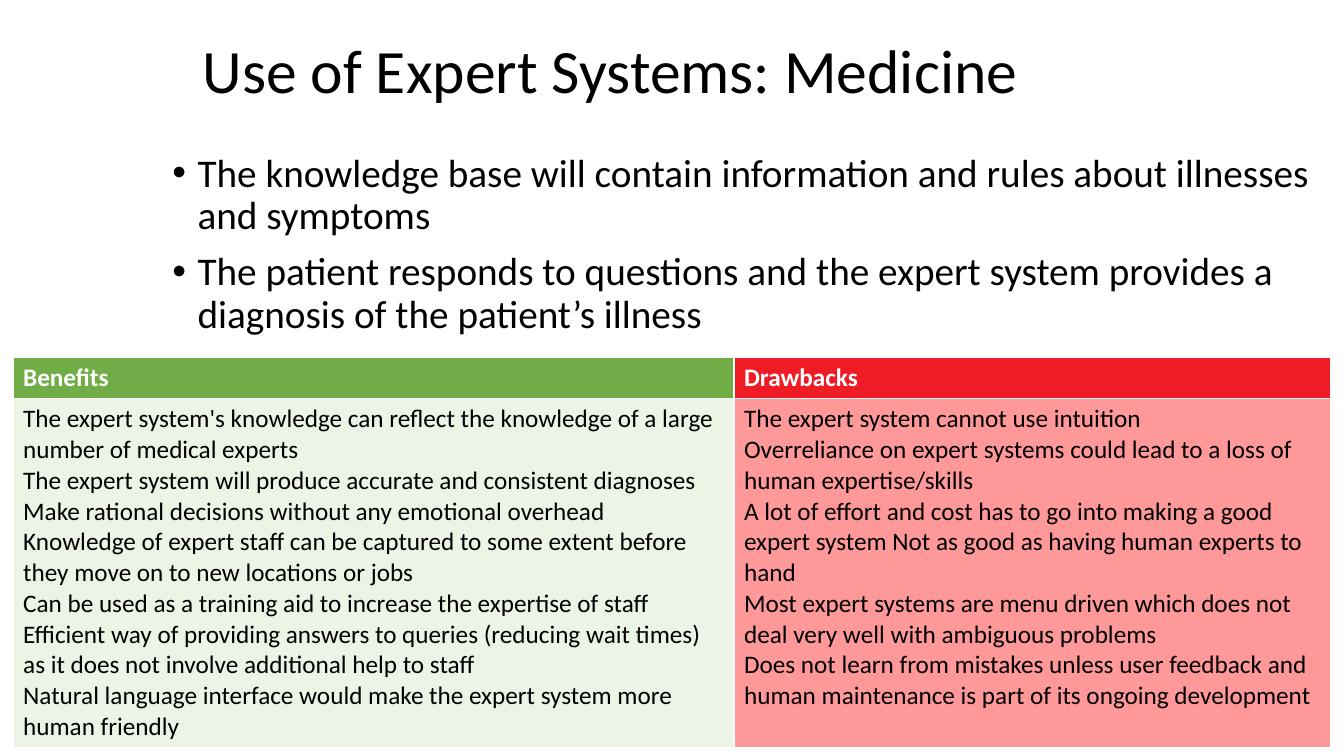
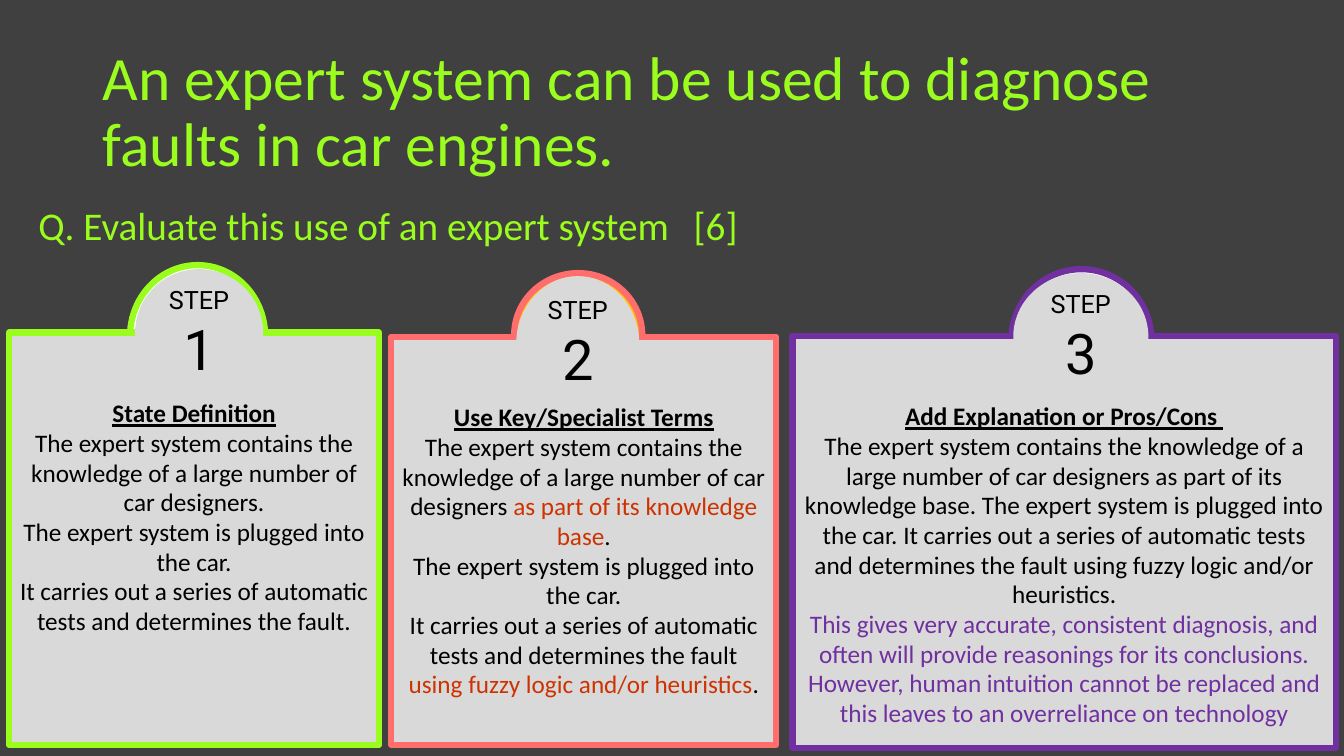
from lxml import etree
from pptx import Presentation
from pptx.dml.color import RGBColor
from pptx.enum.shapes import MSO_SHAPE
from pptx.enum.text import MSO_ANCHOR, MSO_AUTO_SIZE, PP_ALIGN
from pptx.oxml.ns import qn
from pptx.util import Inches, Pt

LEFT, CENTER = PP_ALIGN.LEFT, PP_ALIGN.CENTER
TOP, MIDDLE = MSO_ANCHOR.TOP, MSO_ANCHOR.MIDDLE
NO_FIT = MSO_AUTO_SIZE.NONE
RECTANGLE, OVAL = MSO_SHAPE.RECTANGLE, MSO_SHAPE.OVAL

BLACK, WHITE, CHARCOAL, CARD_GREY = "000000", "FFFFFF", "404040", "D9D9D9"
LIME, CORAL, PURPLE, RUST = "9AFD1D", "FF6D6D", "7030A0", "CC3300"
TITLE_AND_BODY = 1

BENEFITS = [
    "The expert system's knowledge can reflect the knowledge of a large number of medical experts",
    "The expert system will produce accurate and consistent diagnoses "
    "Make rational decisions without any emotional overhead",
    "Knowledge of expert staff can be captured to some extent before they move on to new locations or jobs",
    "Can be used as a training aid to increase the expertise of staff",
    "Efficient way of providing answers to queries (reducing wait times) "
    "as it does not involve additional help to staff",
    "Natural language interface would make the expert system more human friendly",
]
DRAWBACKS = [
    "The expert system cannot use intuition",
    "Overreliance on expert systems could lead to a loss of human expertise/skills",
    "A lot of effort and cost has to go into making a good expert system "
    "Not as good as having human experts to hand",
    "Most expert systems are menu driven which does not deal very well with ambiguous problems",
    "Does not learn from mistakes unless user feedback and human maintenance "
    "is part of its ongoing development",
]
COLUMNS = [
    dict(heading="Benefits", points=BENEFITS, width=7.15, head_fill="70AD47", fill="E4F0DC"),
    dict(heading="Drawbacks", points=DRAWBACKS, width=5.92, head_fill="EF1C26", fill=CORAL),
]

KNOWLEDGE = "The expert system contains the knowledge of a large number of car designers"
PLUGGED = "The expert system is plugged into the car."
TESTS = "It carries out a series of automatic tests and determines the fault"
STEPS = [
    dict(box=(0.09, 3.3, 3.67, 4.09), ring=(1.2, -0.67, 1.34, 1.41),
         badge=(1.25, -0.63, 1.27, 1.26), accent=LIME, ring_fill=WHITE,
         heading="State Definition",
         answer=[KNOWLEDGE + ".", PLUGGED, TESTS + "."]),
    dict(box=(3.88, 3.34, 3.82, 4.05), ring=(1.22, -0.63, 1.27, 1.23),
         badge=(1.24, -0.6, 1.22, 1.33), accent=CORAL, ring_fill="FFC000",
         heading="Use Key/Specialist Terms",
         answer=[[KNOWLEDGE + " ", ("as part of its knowledge base", dict(color=RUST)), "."],
                 PLUGGED,
                 [TESTS + " ", ("using fuzzy logic and/or heuristics", dict(color=RUST)), "."]]),
    dict(box=(7.86, 3.33, 5.39, 4.09), ring=(2.17, -0.66, 1.39, 1.41),
         badge=(2.19, -0.62, 1.34, 1.26), accent=PURPLE, ring_fill=WHITE,
         heading="Add Explanation or Pros/Cons ",
         answer=[f"{KNOWLEDGE} as part of its knowledge base. {PLUGGED} "
                 f"{TESTS} using fuzzy logic and/or heuristics.",
                 [("This gives very accurate, consistent diagnosis, and often will provide "
                   "reasonings for its conclusions. However, human intuition cannot be replaced "
                   "and this leaves to an overreliance on technology", dict(color=PURPLE))]]),
]


def paint(fill, color, alpha=None):
    """Fill solidly with a hex colour, optionally with an opacity in percent."""
    fill.solid()
    fill.fore_color.rgb = RGBColor.from_string(color)
    if alpha is not None:
        srgb = fill._xPr.find(".//" + qn("a:srgbClr"))
        etree.SubElement(srgb, qn("a:alpha")).set("val", str(alpha * 1000))


def format_run(run, size=18, font="Calibri", color=BLACK, bold=False, underline=False):
    """Set the character format of a run."""
    run.font.size, run.font.name = Pt(size), font
    run.font.bold, run.font.underline = bold, underline
    run.font.color.rgb = RGBColor.from_string(color)


def set_list_style(paragraph, bullet, tab):
    """Give a paragraph a hanging bullet, or none with an optional tab stop."""
    props = paragraph._p.get_or_add_pPr()
    indent = Inches(0.25) if bullet else 0
    props.set("marL", str(indent))
    props.set("indent", str(-indent))
    if bullet:
        etree.SubElement(props, qn("a:buChar")).set("char", "•")
    else:
        etree.SubElement(props, qn("a:buNone"))
    if tab:
        stops = etree.SubElement(props, qn("a:tabLst"))
        etree.SubElement(stops, qn("a:tab"), pos=str(Inches(tab)), algn="l")


def write(frame, paragraphs, align=LEFT, spacing=1.0, before=0, anchor=TOP,
          bullet=False, tab=None, **style):
    """Write paragraphs made of strings or (text, format) runs into a text frame."""
    frame.word_wrap = True
    frame.vertical_anchor = anchor
    for index, runs in enumerate(paragraphs):
        paragraph = frame.add_paragraph() if index else frame.paragraphs[0]
        set_list_style(paragraph, bullet, tab)
        paragraph.alignment, paragraph.line_spacing = align, spacing
        paragraph.space_before = Pt(before if index else 0)
        for part in [runs] if isinstance(runs, str) else runs:
            text, own = (part, {}) if isinstance(part, str) else part
            run = paragraph.add_run()
            run.text = text
            format_run(run, **{**style, **own})


def fill_placeholder(placeholder, box, paragraphs, **style):
    """Move a placeholder to a box and write its text."""
    placeholder.left, placeholder.top, placeholder.width, placeholder.height = map(Inches, box)
    placeholder.text_frame.auto_size = NO_FIT
    write(placeholder.text_frame, paragraphs, spacing=0.9, **style)


def new_slide(deck, background, color, title, title_box, body, body_box, **body_style):
    """Add a slide with its background, title and body text."""
    slide = deck.slides.add_slide(deck.slide_layouts[TITLE_AND_BODY])
    paint(slide.background.fill, background)
    fill_placeholder(slide.shapes.title, title_box, [title], size=44, color=color, anchor=MIDDLE)
    fill_placeholder(slide.placeholders[1], body_box, body, size=28, color=color,
                     before=10, **body_style)
    return slide


def add_comparison(slide, left, top, row_heights):
    """Add the table that sets benefits against drawbacks."""
    width = sum(column["width"] for column in COLUMNS)
    table = slide.shapes.add_table(2, len(COLUMNS), Inches(left), Inches(top),
                                   Inches(width), Inches(sum(row_heights))).table
    for row, height in zip(table.rows, row_heights):
        row.height = Inches(height)
    for index, column in enumerate(COLUMNS):
        table.columns[index].width = Inches(column["width"])
        head, points = table.cell(0, index), table.cell(1, index)
        paint(head.fill, column["head_fill"])
        paint(points.fill, column["fill"], alpha=70)
        write(head.text_frame, [column["heading"]], color=WHITE, bold=True)
        write(points.text_frame, column["points"])


def add_panel(group, kind, box, fill, line=None):
    """Add a flat filled shape with an optional thick outline."""
    panel = group.shapes.add_shape(kind, *map(Inches, box))
    panel.shadow.inherit = False
    paint(panel.fill, fill)
    if line:
        paint(panel.line.fill, line)
        panel.line.width = Pt(4.5)
    else:
        panel.line.fill.background()
    return panel


def add_step_card(slide, number, box, ring, badge, accent, ring_fill, heading, answer):
    """Add a step card with a round number badge rising from its top edge."""
    def on_card(part):
        return (box[0] + part[0], box[1] + part[1], *part[2:])

    group = slide.shapes.add_group_shape()
    add_panel(group, OVAL, on_card(ring), ring_fill, accent)
    card = add_panel(group, RECTANGLE, box, CARD_GREY, accent)
    card.text_frame.margin_top = Inches(0.66)
    title = [(heading, dict(bold=True, underline=True))]
    write(card.text_frame, [title, *answer], align=CENTER, spacing=0.98)
    label = add_panel(group, OVAL, on_card(badge), CARD_GREY)
    write(label.text_frame, ["STEP", [(str(number), dict(size=40))]],
          align=CENTER, anchor=MIDDLE, font="Roboto")


def medicine_slide(deck):
    """Build the slide on expert systems in medicine."""
    slide = new_slide(
        deck, WHITE, BLACK, "Use of Expert Systems: Medicine", (1.91, 0, 9.59, 1.45),
        ["The knowledge base will contain information and rules about illnesses and symptoms",
         "The patient responds to questions and the expert system provides a diagnosis "
         "of the patient’s illness"],
        (1.61, 1.47, 11.59, 2.6), bullet=True)
    add_comparison(slide, 0.13, 3.55, (0.4, 3.4))


def exam_question_slide(deck):
    """Build the exam question slide with its three answer steps."""
    slide = new_slide(
        deck, CHARCOAL, LIME, "An expert system can be used to diagnose faults in car engines.",
        (0.92, 0.4, 11.5, 1.45),
        ["Q. Evaluate this use of an expert system\t[6]"], (0.28, 2, 12.86, 4.76), tab=12)
    for number, step in enumerate(STEPS, 1):
        add_step_card(slide, number, **step)


def main():
    """Build and save the deck."""
    deck = Presentation()
    deck.slide_width, deck.slide_height = Inches(13.33), Inches(7.5)
    medicine_slide(deck)
    exam_question_slide(deck)
    deck.save("out.pptx")


if __name__ == "__main__":
    main()
